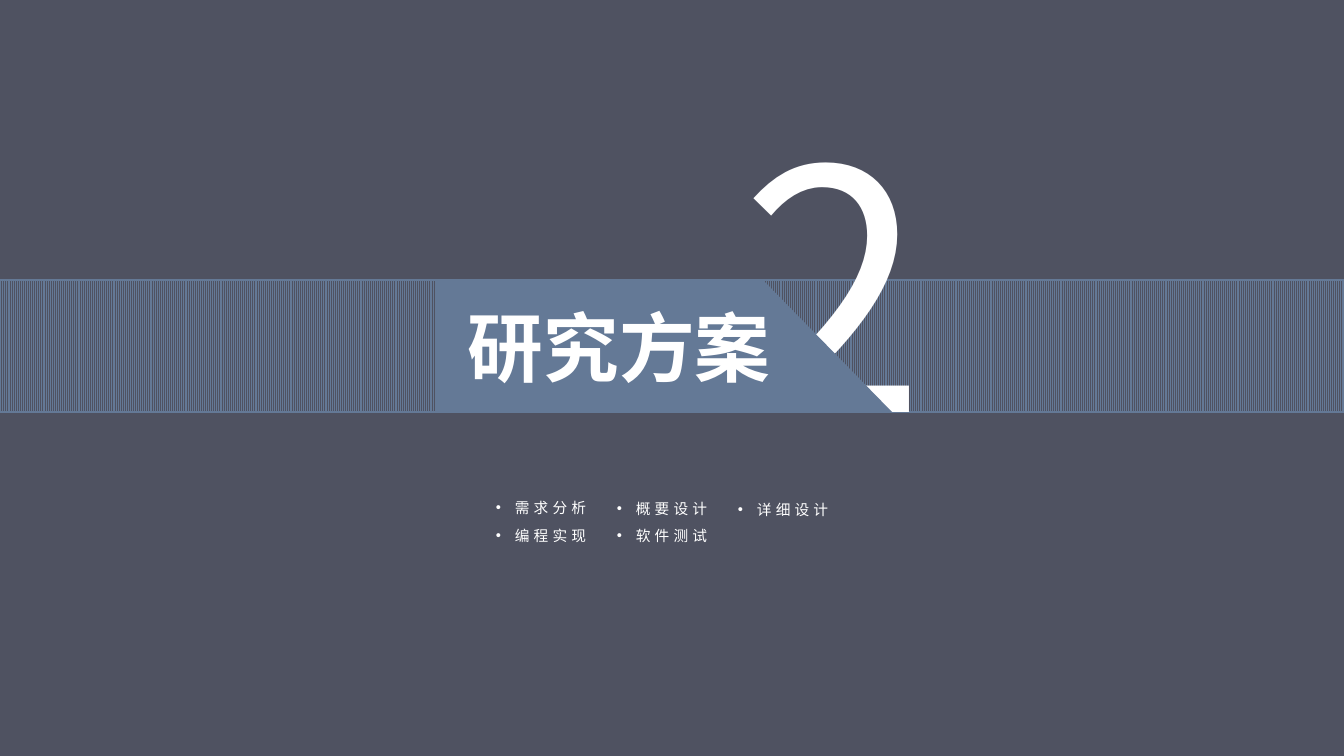
from dataclasses import dataclass

from pptx import Presentation, util as u
from pptx.dml.color import RGBColor
from pptx.enum import dml, shapes, text
from pptx.oxml.ns import qn
from lxml import etree


@dataclass(frozen=True)
class Theme:
    back: str = "4F5261"
    blue: str = "647996"
    white: str = "FFFFFF"
    sans: str = "Noto Sans CJK SC"
    narrow: str = "Arial Narrow"
    digit: float = 239
    title: float = 54
    item: float = 10.5


def rgb(code):
    return RGBColor.from_string(code)


def px(n):
    return u.Emu(round(n * 914400 / 100.8))


class Deck:
    def __init__(self, theme):
        self.theme = theme
        self.prs = Presentation()
        self.prs.slide_width, self.prs.slide_height = px(1344), px(756)
        self.slide = self.prs.slides.add_slide(self.prs.slide_layouts[6])
        fill = self.slide.background.fill
        fill.solid()
        fill.fore_color.rgb = rgb(theme.back)

    def band(self, *box):
        """Full-width strip of fine vertical stripes."""
        strip = self.slide.shapes.add_shape(
            shapes.MSO_SHAPE.RECTANGLE, *map(px, box))
        strip.shadow.inherit = False
        strip.fill.patterned()
        strip.fill.pattern = dml.MSO_PATTERN.LIGHT_VERTICAL
        strip.fill.fore_color.rgb = rgb(self.theme.blue)
        strip.fill.back_color.rgb = rgb(self.theme.back)
        strip.line.color.rgb = rgb(self.theme.blue)
        strip.line.width = u.Pt(1)

    def panel(self, start, *rest):
        """Solid polygon through the given corners."""
        pen = self.slide.shapes.build_freeform(*start, scale=px(1))
        pen.add_line_segments(rest, close=True)
        shape = pen.convert_to_shape()
        shape.shadow.inherit = False
        shape.fill.solid()
        shape.fill.fore_color.rgb = rgb(self.theme.blue)
        shape.line.fill.background()

    def label(self, words, box, size, face, bold=False, wrap=False):
        frame = self.slide.shapes.add_textbox(*map(px, box)).text_frame
        frame.word_wrap = wrap
        frame.auto_size = text.MSO_AUTO_SIZE.SHAPE_TO_FIT_TEXT
        para = frame.paragraphs[0]
        run = para.add_run()
        run.text = words
        font = run.font
        font.size, font.bold, font.name = u.Pt(size), bold, face
        font.color.rgb = rgb(self.theme.white)
        props = run._r.get_or_add_rPr()
        etree.SubElement(props, qn("a:ea"), typeface=face)
        return frame, para, props

    def bullet(self, words, *box):
        frame, para, props = self.label(
            words, box, self.theme.item, self.theme.narrow, wrap=True)
        frame.margin_left = frame.margin_right = 0
        frame.margin_top = frame.margin_bottom = 0
        props.set("spc", "300")
        para.line_spacing = 1.5
        form = para._p.get_or_add_pPr()
        form.set("marL", str(px(19)))
        form.set("indent", str(-px(19)))
        tint = etree.SubElement(form, qn("a:buClr"))
        etree.SubElement(tint, qn("a:srgbClr"), val=self.theme.white)
        etree.SubElement(form, qn("a:buFont"), typeface="Arial")
        etree.SubElement(form, qn("a:buChar"), char="•")


def main():
    theme = Theme()
    deck = Deck(theme)
    deck.band(0, 280, 1344, 132)
    deck.label("2", (731, 73, 226, 415), theme.digit, theme.sans)
    deck.panel((436, 280), (763, 280), (893, 413), (436, 413))
    deck.label("研究方案", (458, 296, 324, 102), theme.title, theme.sans, bold=True)

    rows = [
        (490, 1, ["需求分析", "概要设计", "详细设计"]),
        (518, 0, ["编程实现", "软件测试"]),
    ]
    for top, drop, items in rows:
        for col, words in enumerate(items):
            wide = 129 if col == 2 else 105
            deck.bullet(words, 496 + 121 * col, top + drop * col, wide, 26)
    deck.prs.save("out.pptx")


if __name__ == "__main__":
    main()
